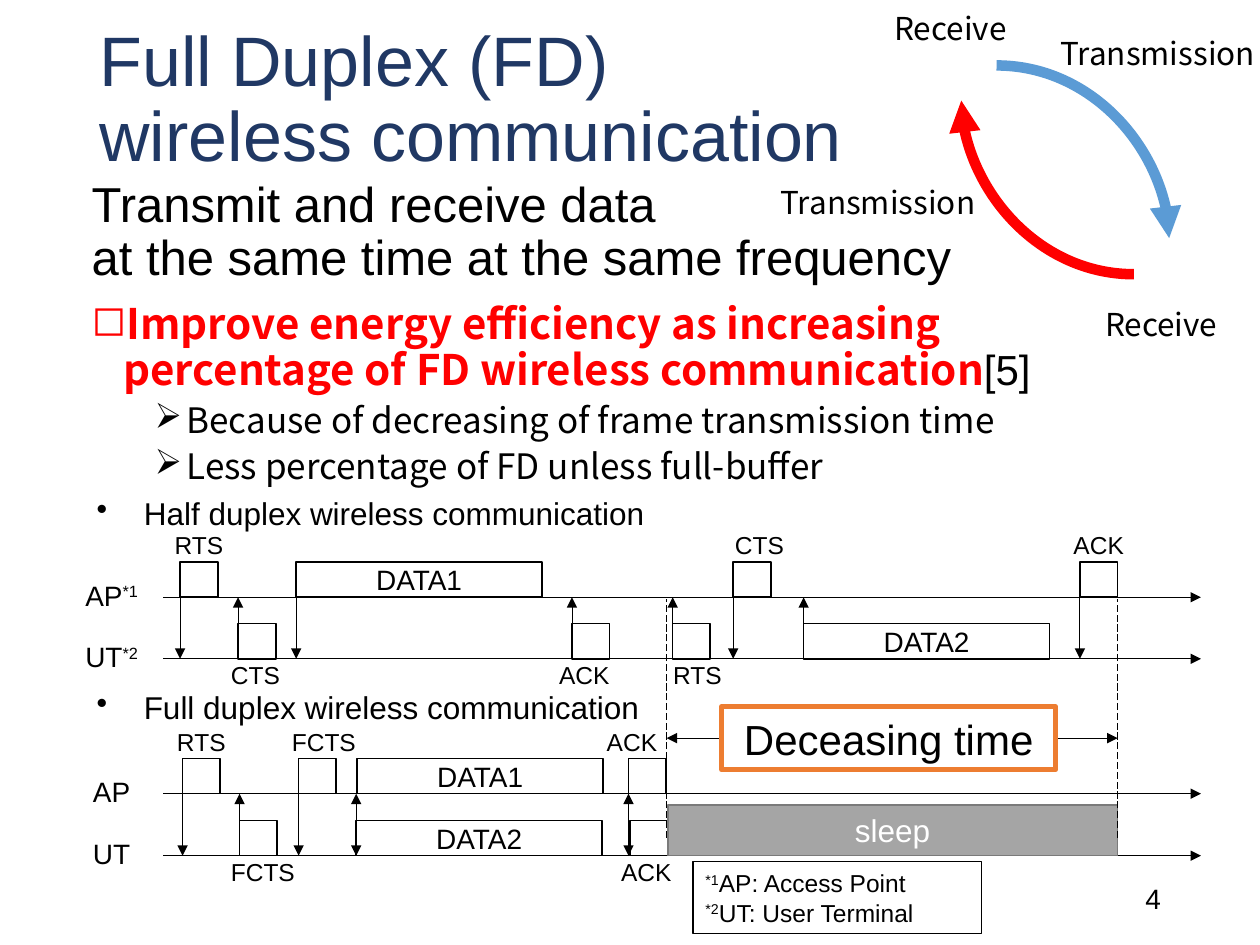
from pptx import Presentation
from pptx.util import Cm, Pt
from pptx.dml.color import RGBColor
from pptx.enum.dml import MSO_LINE
from pptx.enum.shapes import MSO_CONNECTOR, MSO_SHAPE
from pptx.enum.text import MSO_ANCHOR, MSO_AUTO_SIZE, PP_ALIGN
from pptx.oxml.ns import qn
from lxml.etree import SubElement

THEME = dict(
    sans="Arial", noto="Noto Sans CJK JP",
    navy="203864", black="000000", white="FFFFFF", red="FF0000",
    blue="5B9BD5", orange="ED7D31", gray="A5A5A5", edge="7A7A7A",
    title=40, lead=28, point=24, sub=20, head=18, lane=16, tag=14,
)

# Content: lengths in cm
TITLE = "Full Duplex (FD) \vwireless communication"
LEAD = "Transmit and receive data \vat the same time at the same frequency"
POINT = "Improve energy efficiency as increasing percentage of FD wireless communication"
CITE = "[5]"
SUBS = ["Because of decreasing of frame transmission time",
        "Less percentage of FD unless full-buffer"]
NOTES = [("*1", "AP: Access Point"), ("*2", "UT: User Terminal")]

# Frames: lane, left, name, label shift, arrow kind
CHARTS = [
    dict(name="Half duplex wireless communication", top=9.83, ap=12.04, ut=13.28,
         marks=("*1", "*2"), frames=[
             ("AP", 3.63, "RTS", 0, "one"), ("UT", 4.8, "CTS", -0.03, "one"),
             ("AP", 5.97, "DATA1", 0, "one"), ("UT", 11.53, "ACK", -0.13, "one"),
             ("UT", 13.56, "RTS", 0.12, "one"), ("AP", 14.78, "CTS", 0.15, "one"),
             ("UT", 16.2, "DATA2", 0, "one"), ("AP", 21.77, "ACK", 0, "one")]),
    dict(name="Full duplex wireless communication", top=13.74, ap=16, ut=17.25,
         marks=("", ""), frames=[
             ("AP", 3.68, "RTS", 0, "one"), ("UT", 4.83, "FCTS", 0.09, "one"),
             ("AP", 6.02, "FCTS", 0.13, "one"), ("AP", 7.2, "DATA1", 0, ""),
             ("UT", 7.18, "DATA2", 0, "both"), ("UT", 12.7, "ACK", -0.05, ""),
             ("AP", 12.67, "ACK", -0.31, "both")]),
]
TAGS = dict(RTS=1.52, CTS=1.78, ACK=1.83, FCTS=1.95)
AXIS = (3.29, 24.21)
SAVED = (13.44, 22.53)
FRAME, DATA, HIGH = 0.76, 4.96, 0.71

# Curves: start, end, colour
CURVES = [((22.86, 5.53), (19.38, 2.03), "red"),
          ((20.09, 1.32), (23.57, 4.8), "blue")]
WORDS = [("Transmission", 15.49, 3.56, 4.88, "l"), ("Receive", 17.6, 0.05, 3.12, "c"),
         ("Transmission", 21.13, 0.56, 4.9, "l"), ("Receive", 21.67, 6.02, 3.48, "c")]
ALIGN = dict(l=PP_ALIGN.LEFT, c=PP_ALIGN.CENTER, r=PP_ALIGN.RIGHT)

deck = Presentation()
deck.slide_width, deck.slide_height = Cm(25.4), Cm(19.05)
slide = deck.slides.add_slide(deck.slide_layouts[5])
shapes = slide.shapes


def tint(name):
    return RGBColor.from_string(THEME[name])


def style(run, size, face="sans", color="black", bold=False):
    font = run.font
    font.name, font.size, font.bold = THEME[face], Pt(THEME[size]), bold
    font.color.rgb = tint(color)


def add_run(para, text, size, raised=False, **look):
    run = para.add_run()
    run.text = text
    style(run, size, **look)
    if raised:
        run._r.get_or_add_rPr().set("baseline", "30000")


def bullet(para, mark, left, hang):
    props = para._p.get_or_add_pPr()
    props.set("marL", str(Cm(left)))
    props.set("indent", str(-Cm(hang)))
    SubElement(props, qn("a:buChar")).set("char", mark)


def write(frame, text, size, align="l", **look):
    frame.text = text
    para = frame.paragraphs[0]
    para.alignment = ALIGN[align]
    for run in para.runs:
        style(run, size, **look)
    return para


def label(text, x, y, w, h, size, align="c", **look):
    frame = shapes.add_textbox(Cm(x), Cm(y), Cm(w), Cm(h)).text_frame
    frame.word_wrap = True
    return write(frame, text, size, align, **look)


def box(x, y, w, h, text="", size="lane", fill="white", edge="black", wide=1, color="black"):
    rect = shapes.add_shape(MSO_SHAPE.RECTANGLE, Cm(x), Cm(y), Cm(w), Cm(h))
    rect.shadow.inherit = False
    rect.fill.solid()
    rect.fill.fore_color.rgb = tint(fill)
    rect.line.color.rgb, rect.line.width = tint(edge), Pt(wide)
    frame = rect.text_frame
    frame.vertical_anchor = MSO_ANCHOR.MIDDLE
    if text:
        frame.margin_top = frame.margin_bottom = 0
        write(frame, text, size, "c", color=color)
    return rect


def line(start, end, ends="one", color="black", wide=0.5, kind=MSO_CONNECTOR.STRAIGHT):
    link = shapes.add_connector(kind, *map(Cm, start + end))
    link.line.color.rgb, link.line.width = tint(color), Pt(wide)
    stroke = link.line._get_or_add_ln()
    for tag in dict(one=["tailEnd"], both=["headEnd", "tailEnd"], none=[])[ends]:
        SubElement(stroke, qn("a:" + tag)).set("type", "triangle")
    SubElement(link._element.spPr, qn("a:effectLst"))
    return link


# Title
title = shapes.title
title.left, title.top, title.width, title.height = map(Cm, (1.75, 0.2, 21.89, 3.68))
title.text_frame.word_wrap = True
title.text_frame.auto_size = MSO_AUTO_SIZE.NONE
title.text_frame.vertical_anchor = MSO_ANCHOR.MIDDLE
write(title.text_frame, TITLE, "title", color="navy").line_spacing = 0.9

# Main points
body = shapes.add_textbox(Cm(1.6), Cm(3.51), Cm(21.89), Cm(6.65)).text_frame
body.word_wrap = True
write(body, LEAD, "lead").line_spacing = 0.9
para = body.add_paragraph()
para.line_spacing, para.space_before = 0.9, Pt(10)
bullet(para, "◻", 0.64, 0.64)
add_run(para, POINT, "point", face="noto", color="red", bold=True)
add_run(para, CITE, "point")
for text in SUBS:
    para = body.add_paragraph()
    para.level, para.line_spacing, para.space_before = 1, 0.9, Pt(5)
    bullet(para, "➢", 1.91, 0.64)
    add_run(para, text, "sub", face="noto")

# Slide number
label("4", 17.93, 17.65, 5.72, 1.02, "lane", "r")

# Timing charts
for chart in CHARTS:
    ap, ut = chart["ap"], chart["ut"]
    bullet(label(chart["name"], 1.7, chart["top"], 11.7, 1.02, "head", "l"), "•", 0.95, 0.95)
    for lane, y, mark in zip(("AP", "UT"), (ap, ut), chart["marks"]):
        line((AXIS[0], y), (AXIS[1], y))
        para = label(lane, 1.2, y - 0.51, 2.1, 0.94, "lane")
        if mark:
            add_run(para, mark, "lane", raised=True)
    for lane, x, name, shift, ends in chart["frames"]:
        upper = lane == "AP"
        base = ap if upper else ut
        if name in TAGS:
            box(x, base - HIGH, FRAME, HIGH)
            wide = TAGS[name]
            y = ap - 1.47 if upper else ut - 0.1
            label(name, x + FRAME / 2 + shift - wide / 2, y, wide, 0.86, "tag")
        else:
            box(x, base - HIGH, DATA, HIGH, name)
        if ends == "both":
            line((x, ut), (x, ap), ends)
        elif ends:
            line((x, ap if upper else ut - HIGH), (x, ut if upper else ap))

# Saved time
line((SAVED[0], 14.88), (SAVED[1], 14.88), "both")
box(14.55, 14.25, 6.73, 1.27, "Deceasing time", "point", edge="orange", wide=3)
box(13.46, 16.23, 9.07, 1.02, "sleep", "head", "gray", "edge", color="white")
for x in SAVED:
    line((x, 16.89), (x, 12.07), "none").line.dash_style = MSO_LINE.LONG_DASH

# Abbreviations
notes = box(13.97, 17.37, 5.82, 1.45).text_frame
for i, (mark, text) in enumerate(NOTES):
    para = notes.add_paragraph() if i else notes.paragraphs[0]
    para.alignment = PP_ALIGN.LEFT
    add_run(para, mark, "tag", raised=True)
    add_run(para, text, "tag")

# Exchange cycle
for start, end, color in CURVES:
    curve = line(start, end, "one", color, 6, MSO_CONNECTOR.CURVE)
    curve._element.spPr.find(qn("a:prstGeom")).set("prst", "curvedConnector2")
for text, x, y, w, align in WORDS:
    label(text, x, y, w, 1.02, "head", align, face="noto")

deck.save("out.pptx")
